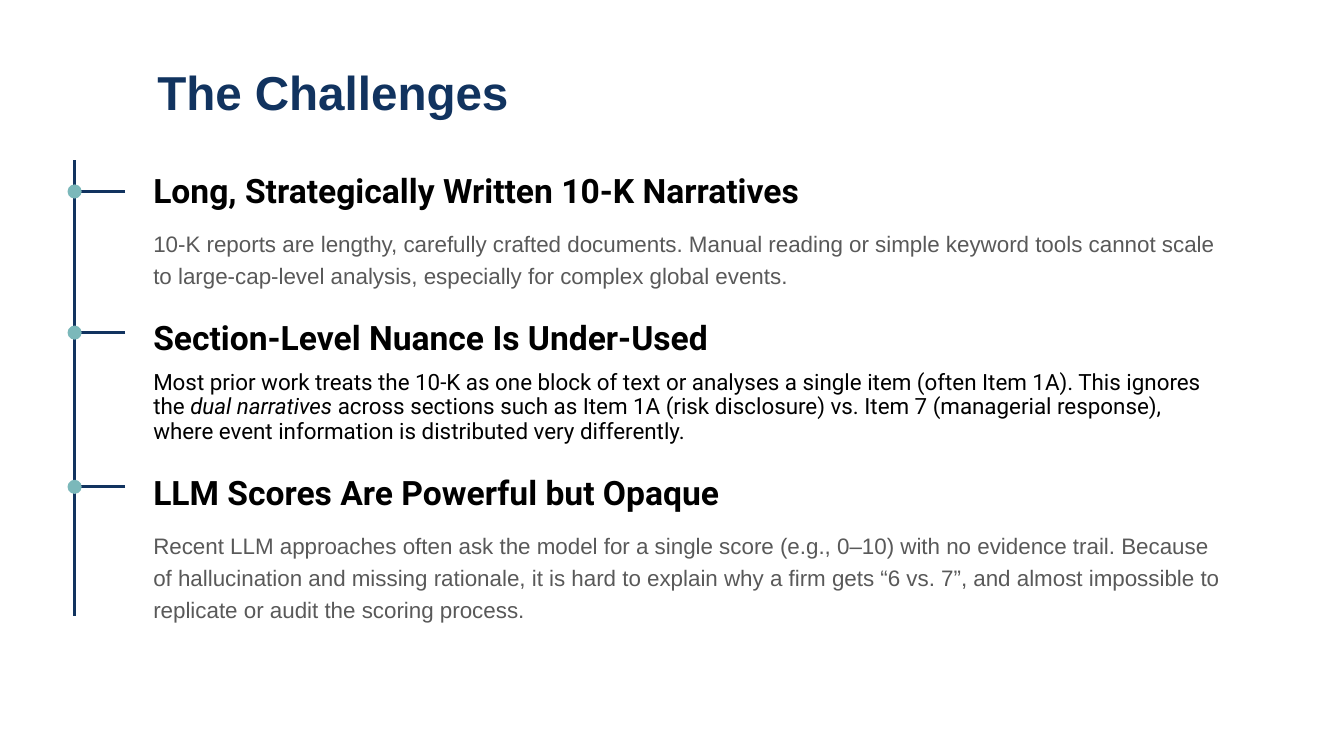
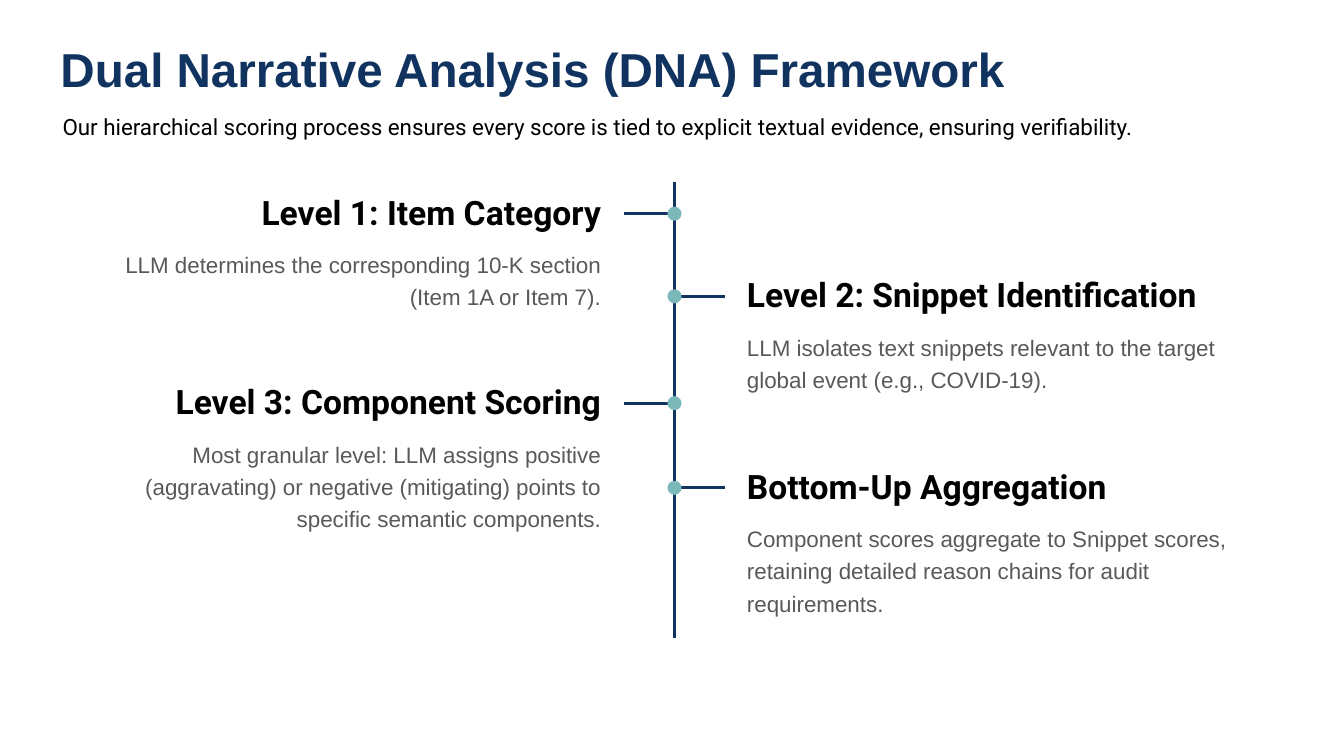
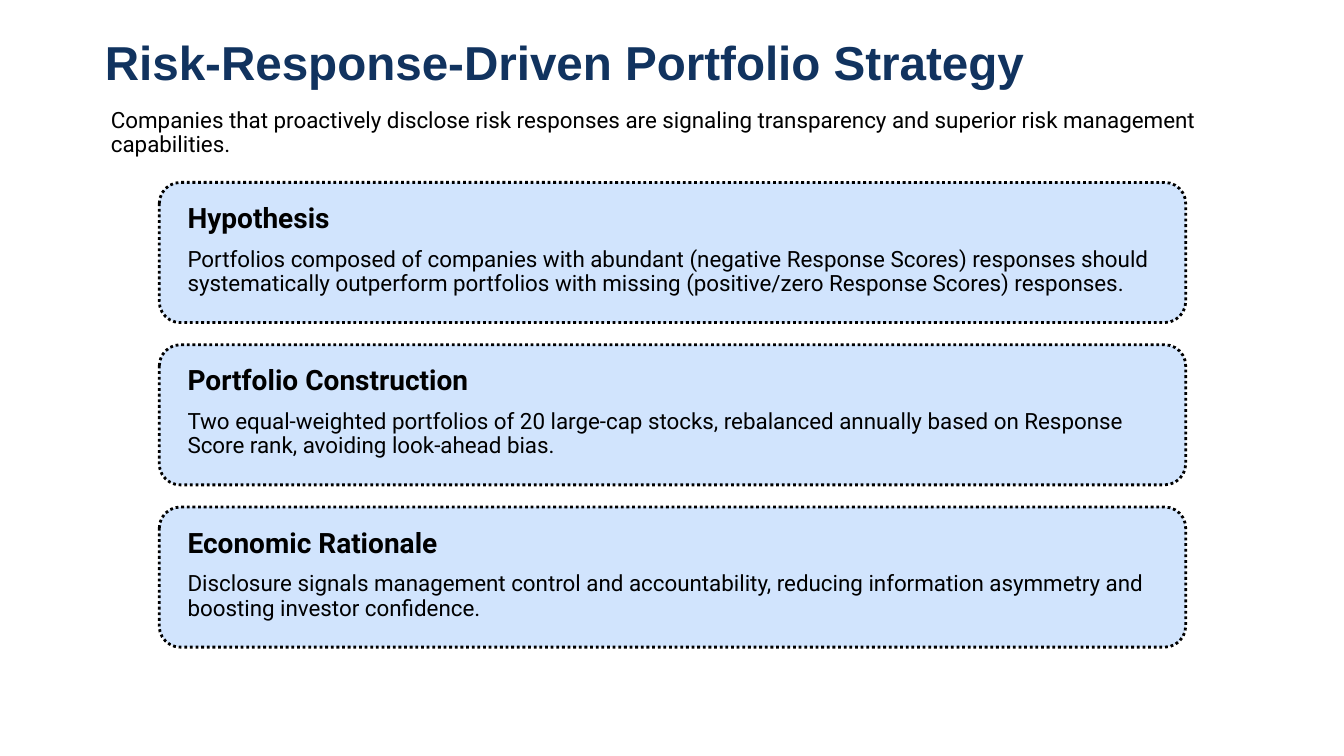
"""Build three slides on dual narrative analysis of 10-K reports."""
import pptx
import pptx.dml.color
import pptx.enum.dml
import pptx.enum.shapes
import pptx.enum.text
import pptx.oxml.ns
import pptx.util
from lxml import etree

NAVY, TEAL, PALE, BLACK, GREY = "11335F", "7BB8BA", "D1E4FD", "000000", "595959"
ALIGN = pptx.enum.text.PP_ALIGN
SHAPE = pptx.enum.shapes.MSO_SHAPE

TITLE = dict(size=34, font="Arial", color=NAVY, bold=True, spacing=0.9, align=ALIGN.JUSTIFY)
HEADING = dict(size=24, font="Roboto", color=BLACK, bold=True, before=20)
CARD_HEADING = dict(HEADING, size=20)
DETAIL = dict(size=16, font="Arial", color=GREY, spacing=1.2, before=10)
PLAIN = dict(size=16, font="Roboto", color=BLACK, spacing=0.9, before=10)

SPINE_HEIGHT, DOT, TICK = 4.52, 0.14, 0.5

CHALLENGES = [
    (1.9, "Long, Strategically Written 10-K Narratives", DETAIL,
     "10-K reports are lengthy, carefully crafted documents. Manual reading or simple keyword "
     "tools cannot scale to large-cap-level analysis, especially for complex global events."),
    (3.3, "Section-Level Nuance Is Under-Used", PLAIN,
     "Most prior work treats the 10-K as one block of text or analyses a single item (often "
     "Item 1A). This ignores the *dual narratives* across sections such as Item 1A (risk "
     "disclosure) vs. Item 7 (managerial response), where event information is distributed "
     "very differently."),
    (4.83, "LLM Scores Are Powerful but Opaque", DETAIL,
     "Recent LLM approaches often ask the model for a single score (e.g., 0–10) with no "
     "evidence trail. Because of hallucination and missing rationale, it is hard to explain "
     "why a firm gets “6 vs. 7”, and almost impossible to replicate or audit the scoring "
     "process."),
]

FRAMEWORK_INTRO = ("Our hierarchical scoring process ensures every score is tied to explicit "
                   "textual evidence, ensuring verifiability.")
LEVELS = [
    (1.8, 1.28, "Level 1: Item Category",
     "LLM determines the corresponding 10-K section (Item 1A or Item 7)."),
    (2.62, 1.28, "Level 2: Snippet Identification",
     "LLM isolates text snippets relevant to the target global event (e.g., COVID-19)."),
    (3.68, 1.58, "Level 3: Component Scoring",
     "Most granular level: LLM assigns positive (aggravating) or negative (mitigating) points "
     "to specific semantic components."),
    (4.52, 1.58, "Bottom-Up Aggregation",
     "Component scores aggregate to Snippet scores, retaining detailed reason chains for audit "
     "requirements."),
]

STRATEGY_INTRO = ("Companies that proactively disclose risk responses are signaling transparency "
                  "and superior risk management capabilities.")
CARDS = [
    ("Hypothesis",
     "Portfolios composed of companies with abundant (negative Response Scores) responses should "
     "systematically outperform portfolios with missing (positive/zero Response Scores) "
     "responses."),
    ("Portfolio Construction",
     "Two equal-weighted portfolios of 20 large-cap stocks, rebalanced annually based on Response "
     "Score rank, avoiding look-ahead bias."),
    ("Economic Rationale",
     "Disclosure signals management control and accountability, reducing information asymmetry "
     "and boosting investor confidence."),
]


def inches(*lengths):
    return [pptx.util.Inches(length) for length in lengths]


def rgb(color):
    return pptx.dml.color.RGBColor.from_string(color)


def add_paragraph(paragraph, text, size, font, color, bold=False, spacing=1.0, before=0,
                  align=ALIGN.LEFT):
    properties = paragraph._p.get_or_add_pPr()
    properties.set("marL", "0")
    properties.set("indent", "0")
    etree.SubElement(properties, pptx.oxml.ns.qn("a:buNone"))
    paragraph.alignment = align
    paragraph.line_spacing = spacing
    paragraph.space_before = pptx.util.Pt(before)
    for index, part in enumerate(text.split("*")):
        run = paragraph.add_run()
        run.text = part
        run.font.size = pptx.util.Pt(size)
        run.font.name = font
        run.font.bold = bold
        run.font.italic = index % 2 == 1
        run.font.color.rgb = rgb(color)


def write(holder, box, paragraphs, inset=0.1, **overrides):
    holder.left, holder.top, holder.width, holder.height = inches(*box)
    frame = holder.text_frame
    frame.word_wrap = True
    frame.auto_size = pptx.enum.text.MSO_AUTO_SIZE.NONE
    frame.vertical_anchor = pptx.enum.text.MSO_ANCHOR.TOP
    margin = pptx.util.Inches(inset)
    frame.margin_left = frame.margin_top = frame.margin_right = frame.margin_bottom = margin
    for index, (text, style) in enumerate(paragraphs):
        paragraph = frame.add_paragraph() if index else frame.paragraphs[0]
        first = {} if index else {"before": 0}
        add_paragraph(paragraph, text, **{**style, **overrides, **first})


def add_text(slide, box, paragraphs, **options):
    write(slide.shapes.add_textbox(*inches(*box)), box, paragraphs, **options)


def add_slide(deck, title, left, top):
    slide = deck.slides.add_slide(deck.slide_layouts[1])
    write(slide.shapes.title, (left, top, 11.15, 0.73), [(title, TITLE)])
    return slide, slide.placeholders[1]


def add_line(slide, x1, y1, x2, y2):
    line = slide.shapes.add_connector(
        pptx.enum.shapes.MSO_CONNECTOR.STRAIGHT, *inches(x1, y1, x2, y2))
    line.line.color.rgb = rgb(NAVY)
    line.line.width = pptx.util.Pt(2)
    etree.SubElement(line._element.spPr, pptx.oxml.ns.qn("a:effectLst"))


def add_shape(slide, kind, box, fill):
    shape = slide.shapes.add_shape(kind, *inches(*box))
    shape.shadow.inherit = False
    shape.fill.solid()
    shape.fill.fore_color.rgb = rgb(fill)
    shape.line.fill.background()
    return shape


def add_timeline(slide, x, top, stops):
    add_line(slide, x, top + SPINE_HEIGHT, x, top)
    for y, direction in stops:
        add_line(slide, x + direction * TICK, y, x, y)
        add_shape(slide, SHAPE.OVAL, (x - DOT / 2, y - DOT / 2, DOT, DOT), TEAL)


def build_challenges(deck):
    slide, body = add_slide(deck, "The Challenges", 1.46, 0.59)
    paragraphs = []
    for _, heading, style, detail in CHALLENGES:
        paragraphs += [(heading, HEADING), (detail, style)]
    write(body, (1.42, 1.59, 10.79, SPINE_HEIGHT), paragraphs)
    add_timeline(slide, 0.74, 1.59, [(challenge[0], 1) for challenge in CHALLENGES])


def build_framework(deck):
    slide, intro = add_slide(deck, "Dual Narrative Analysis (DNA) Framework", 0.5, 0.36)
    write(intro, (0.57, 1.1, 11.34, 0.36), [(FRAMEWORK_INTRO, PLAIN)], inset=0.05)
    sides = [(0.81, ALIGN.RIGHT, -1), (7.31, ALIGN.LEFT, 1)]
    stops = []
    for index, (top, height, heading, detail) in enumerate(LEVELS):
        left, align, direction = sides[index % 2]
        add_text(slide, (left, top, 5.25, height), [(heading, HEADING), (detail, DETAIL)],
                 align=align)
        stops.append((top + 0.32, direction))
    add_timeline(slide, 6.69, 1.81, stops)


def build_strategy(deck):
    slide, intro = add_slide(deck, "Risk-Response-Driven Portfolio Strategy", 0.94, 0.29)
    write(intro, (1.05, 1.03, 11.34, 0.6), [(STRATEGY_INTRO, PLAIN)], inset=0.05)
    for index, (heading, detail) in enumerate(CARDS):
        top = 1.81 + index * 1.61
        card = add_shape(slide, SHAPE.ROUNDED_RECTANGLE, (1.58, top, 10.18, 1.39), PALE)
        card.adjustments[0] = 0.15
        card.line.color.rgb = rgb(BLACK)
        card.line.width = pptx.util.Pt(2)
        card.line.dash_style = pptx.enum.dml.MSO_LINE.ROUND_DOT
        add_text(slide, (1.81, top + 0.13, 9.72, 1.07),
                 [(heading, CARD_HEADING), (detail, PLAIN)], inset=0.05)


def main():
    deck = pptx.Presentation()
    deck.slide_width, deck.slide_height = inches(13.33, 7.5)
    build_challenges(deck)
    build_framework(deck)
    build_strategy(deck)
    deck.save("out.pptx")


if __name__ == "__main__":
    main()
